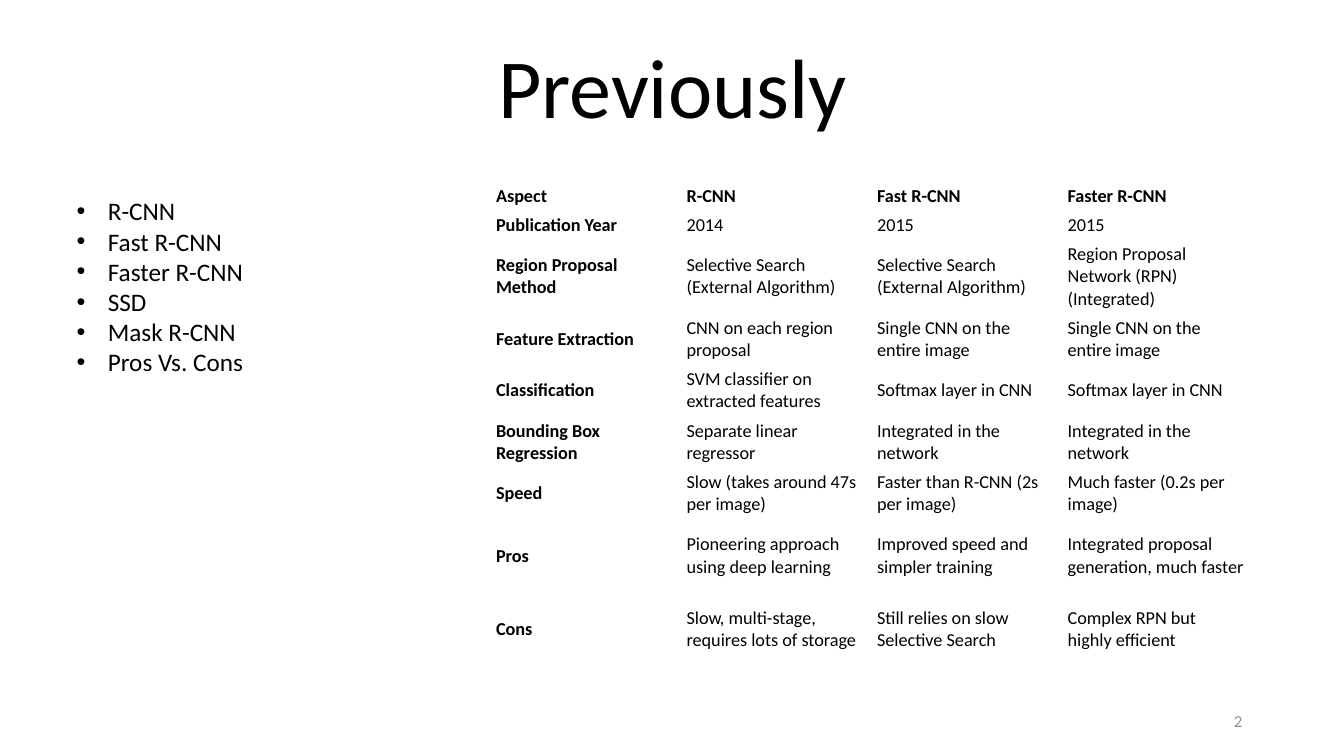
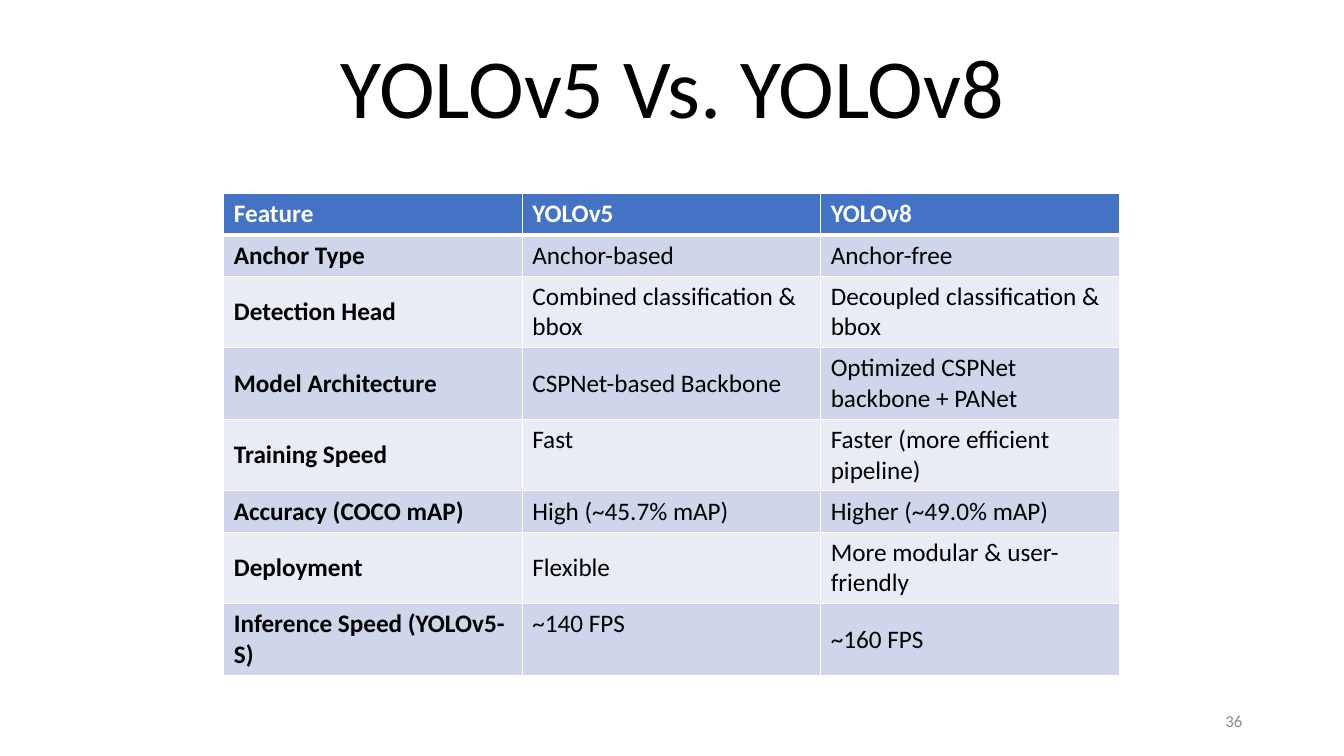
from dataclasses import dataclass

from lxml import etree
from pptx import Presentation
from pptx.dml.color import RGBColor
from pptx.enum.text import MSO_ANCHOR, MSO_AUTO_SIZE, PP_ALIGN
from pptx.oxml.ns import qn
from pptx.util import Inches, Pt


@dataclass(frozen=True)
class Theme:
    font: str = "Calibri"
    black: str = "000000"
    white: str = "FFFFFF"
    grey: str = "8C8C8C"
    header: str = "4472C4"
    bands: tuple = ("CFD5EA", "E9EBF5")
    title_size: int = 60
    body_size: int = 18
    dense_size: int = 13
    number_size: int = 12
    plain_table: str = "{2D5ABB26-0587-4C30-8999-92F81FD0307C}"


THEME = Theme()

AT_A_GLANCE = ["R-CNN", "Fast R-CNN", "Faster R-CNN", "SSD", "Mask R-CNN", "Pros Vs. Cons"]

DETECTORS = [
    ("Aspect", "R-CNN", "Fast R-CNN", "Faster R-CNN"),
    ("Publication Year", "2014", "2015", "2015"),
    ("Region Proposal Method", "Selective Search (External Algorithm)",
     "Selective Search (External Algorithm)", "Region Proposal Network (RPN) (Integrated)"),
    ("Feature Extraction", "CNN on each region proposal",
     "Single CNN on the entire image", "Single CNN on the entire image"),
    ("Classification", "SVM classifier on extracted features",
     "Softmax layer in CNN", "Softmax layer in CNN"),
    ("Bounding Box Regression", "Separate linear regressor",
     "Integrated in the network", "Integrated in the network"),
    ("Speed", "Slow (takes around 47s per image)",
     "Faster than R-CNN (2s per image)", "Much faster (0.2s per image)"),
    ("Pros", "Pioneering approach using deep learning",
     "Improved speed and simpler training", "Integrated proposal generation, much faster"),
    ("Cons", "Slow, multi-stage, requires lots of storage",
     "Still relies on slow Selective Search", "Complex RPN but highly efficient"),
]

VERSIONS = [
    ("Feature", "YOLOv5", "YOLOv8"),
    ("Anchor Type", "Anchor-based", "Anchor-free"),
    ("Detection Head", "Combined classification & bbox", "Decoupled classification & bbox"),
    ("Model Architecture", "CSPNet-based Backbone", "Optimized CSPNet backbone + PANet"),
    ("Training Speed", "Fast", "Faster (more efficient pipeline)"),
    ("Accuracy (COCO mAP)", "High (~45.7% mAP)", "Higher (~49.0% mAP)"),
    ("Deployment", "Flexible", "More modular & user-friendly"),
    ("Inference Speed (YOLOv5-S)", "~140 FPS", "~160 FPS"),
]


def write(paragraph, text, size, color=THEME.black, bold=False, **layout):
    """Fill a paragraph; layout holds paragraph attributes such as alignment."""
    paragraph.text = text
    for name, value in layout.items():
        setattr(paragraph, name, value)
    paragraph.font.color.rgb = RGBColor.from_string(color)
    for name, value in {"name": THEME.font, "size": Pt(size), "bold": bold}.items():
        setattr(paragraph.font, name, value)


def add_text_table(slide, rows, left, top, column_width, row_heights, size, header_color):
    """Add an unstyled table with a bold first row and first column."""
    columns = len(rows[0])
    frame = slide.shapes.add_table(
        len(rows), columns, Inches(left), Inches(top),
        Inches(column_width * columns), Inches(sum(row_heights)))
    table = frame.table
    table.first_row = table.horz_banding = False
    table._tbl.tblPr.find(qn("a:tableStyleId")).text = THEME.plain_table
    for column in table.columns:
        column.width = Inches(column_width)
    for r, (texts, height) in enumerate(zip(rows, row_heights)):
        table.rows[r].height = Inches(height)
        for c, text in enumerate(texts):
            cell = table.cell(r, c)
            cell.vertical_anchor = MSO_ANCHOR.MIDDLE
            write(cell.text_frame.paragraphs[0], text, size,
                  header_color if r == 0 else THEME.black, bold=r == 0 or c == 0)
    return table


presentation = Presentation()
presentation.slide_width = Inches(13.33)
presentation.slide_height = Inches(7.5)

slides = []
for title_text, number in (("Previously", "2"), ("YOLOv5 Vs. YOLOv8", "36")):
    slide = presentation.slides.add_slide(presentation.slide_layouts[0])
    title = slide.shapes.title
    title.left, title.top, title.width, title.height = map(Inches, (1.67, 0.15, 10, 1.26))
    title.text_frame.vertical_anchor = MSO_ANCHOR.BOTTOM
    title.text_frame.auto_size = MSO_AUTO_SIZE.NONE
    write(title.text_frame.paragraphs[0], title_text, THEME.title_size,
          alignment=PP_ALIGN.CENTER, line_spacing=0.9)

    number_box = slide.shapes.add_textbox(*map(Inches, (9.42, 6.95, 3, 0.4)))
    number_box.text_frame.word_wrap = True
    number_box.text_frame.vertical_anchor = MSO_ANCHOR.MIDDLE
    write(number_box.text_frame.paragraphs[0], number, THEME.number_size, THEME.grey,
          alignment=PP_ALIGN.RIGHT)
    slides.append(slide)

recap_slide, versions_slide = slides

# Recap: list of detectors beside a plain comparison table
body = recap_slide.placeholders[1]
body.left, body.top, body.width, body.height = map(Inches, (0.66, 1.89, 11.61, 2.52))
body.text_frame.vertical_anchor = MSO_ANCHOR.TOP
body.text_frame.auto_size = MSO_AUTO_SIZE.NONE
for index, item in enumerate(AT_A_GLANCE):
    paragraph = body.text_frame.add_paragraph() if index else body.text_frame.paragraphs[0]
    properties = paragraph._p.get_or_add_pPr()
    properties.set("marL", str(Inches(0.31)))
    properties.set("indent", str(-Inches(0.31)))
    etree.SubElement(properties, qn("a:buFont"), typeface="Arial")
    etree.SubElement(properties, qn("a:buChar"), char="•")
    write(paragraph, item, THEME.body_size, alignment=PP_ALIGN.LEFT, space_before=Pt(0))

detector_heights = [0.29] * 2 + [0.73] + [0.51] * 4 + [0.73] * 2
detector_table = add_text_table(recap_slide, DETECTORS, 4.85, 1.8, 1.89, detector_heights,
                                THEME.dense_size, THEME.black)
for cell in detector_table.iter_cells():
    cell.fill.background()
    cell.margin_left = cell.margin_right = Inches(0.07)
    cell.margin_top = cell.margin_bottom = Inches(0.03)

# Versions: banded table with white rules
versions_slide.placeholders[1].element.getparent().remove(versions_slide.placeholders[1].element)
one_line, two_lines = 0.41, 0.71
version_heights = [one_line] * 2 + [two_lines] * 3 + [one_line] + [two_lines] * 2
version_table = add_text_table(versions_slide, VERSIONS, 2.22, 1.92, 2.96, version_heights,
                               THEME.body_size, THEME.white)
for r, row in enumerate(version_table.rows):
    for cell in row.cells:
        cell.fill.solid()
        cell.fill.fore_color.rgb = RGBColor.from_string(
            THEME.bands[(r - 1) % 2] if r else THEME.header)
        for position, side in enumerate(("lnL", "lnR", "lnT", "lnB")):
            under_header = (r, side) in ((0, "lnB"), (1, "lnT"))
            line = etree.Element(qn(f"a:{side}"), w=str(Pt(3 if under_header else 1)))
            line_fill = etree.SubElement(line, qn("a:solidFill"))
            etree.SubElement(line_fill, qn("a:srgbClr"), val=THEME.white)
            cell._tc.get_or_add_tcPr().insert(position, line)
for r, c in ((0, 2), (4, 1), (7, 1)):
    version_table.cell(r, c).vertical_anchor = MSO_ANCHOR.TOP

presentation.save("out.pptx")
